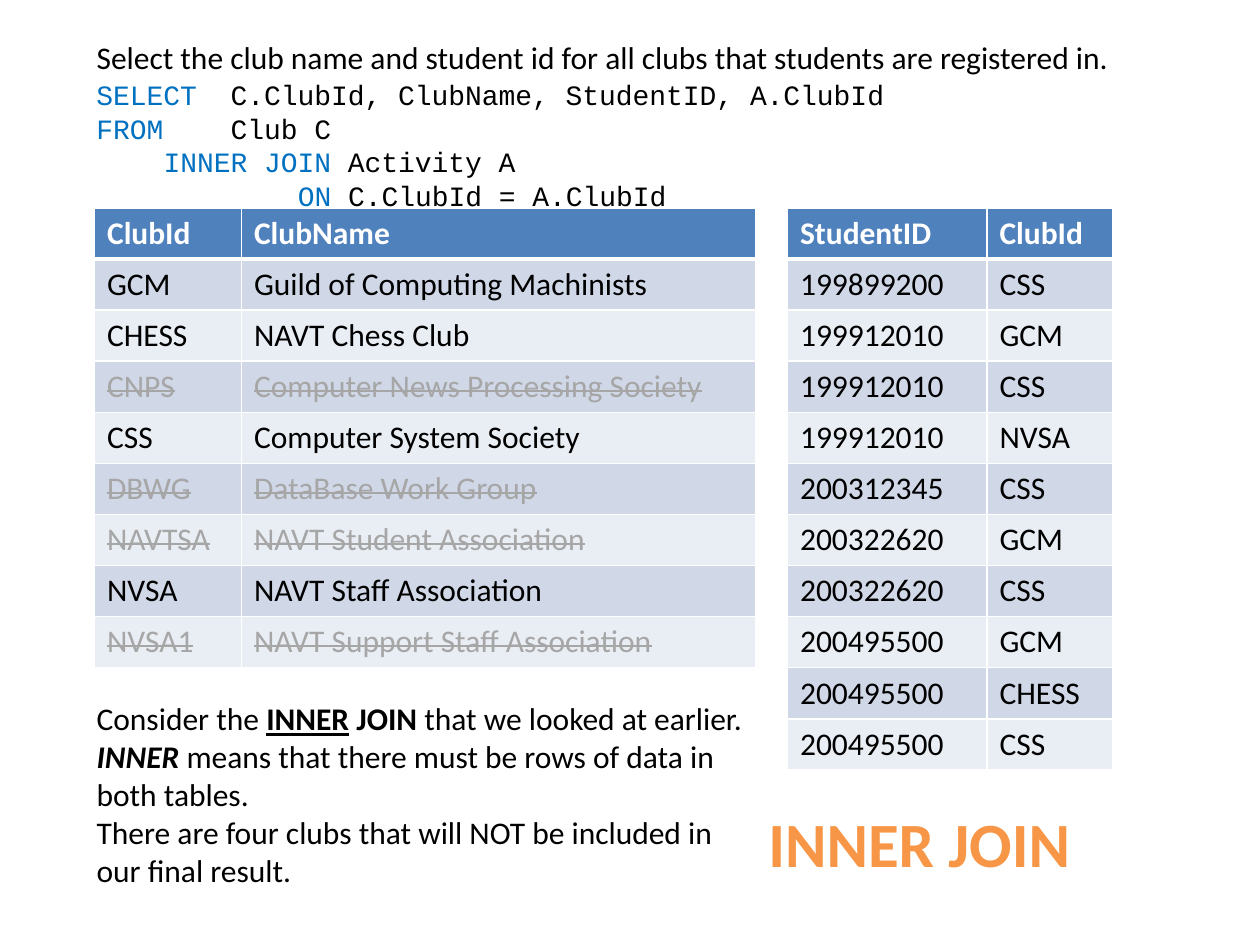
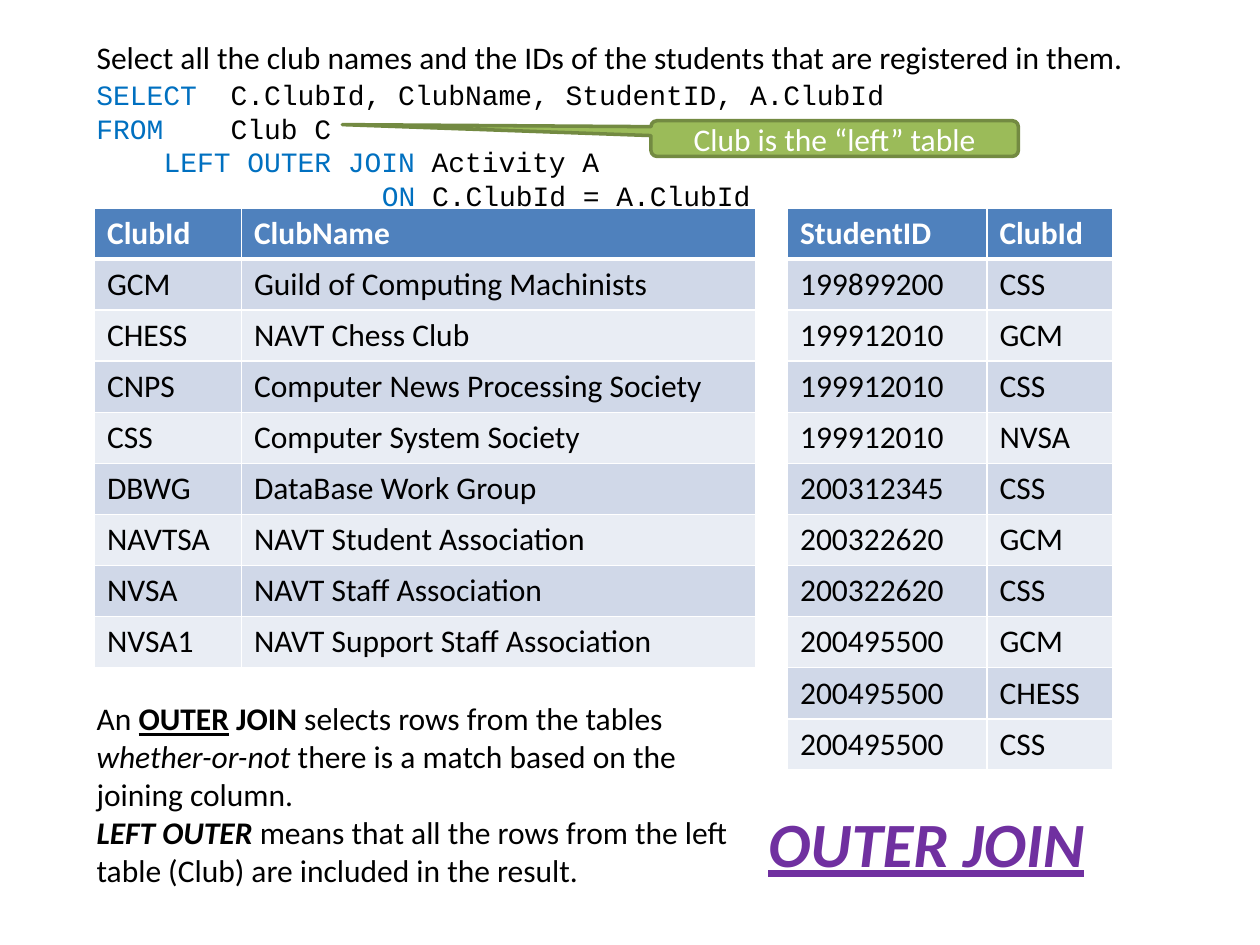
import dataclasses

import lxml.etree
import pptx
import pptx.dml.color
import pptx.enum.shapes
import pptx.enum.text
import pptx.oxml.ns
import pptx.util

PX = 7620  # EMU in one px, 120 px to the inch
CODE_CHAR = 16  # px width of one character of code


# Shared colours, fonts and type sizes
@dataclasses.dataclass(frozen=True)
class Theme:
    text: str = "000000"
    white: str = "FFFFFF"
    keyword: str = "0070C0"
    header: str = "4F81BD"
    bands: tuple = ("D0D8E8", "E9EDF4")
    dropped: str = "A6A6A6"
    callout: str = "9BBB59"
    callout_line: str = "738A42"
    inner: str = "F79646"
    outer: str = "7030A0"
    font: str = "Calibri"
    code_font: str = "Courier New"
    body_size: int = 18
    code_size: int = 16
    label_size: int = 36


T = Theme()

CLUBS = [
    ("ClubId", "ClubName"),
    ("GCM", "Guild of Computing Machinists"),
    ("CHESS", "NAVT Chess Club"),
    ("CNPS", "Computer News Processing Society"),
    ("CSS", "Computer System Society"),
    ("DBWG", "DataBase Work Group"),
    ("NAVTSA", "NAVT Student Association"),
    ("NVSA", "NAVT Staff Association"),
    ("NVSA1", "NAVT Support Staff Association"),
]
ACTIVITIES = [
    ("StudentID", "ClubId"),
    ("199899200", "CSS"),
    ("199912010", "GCM"),
    ("199912010", "CSS"),
    ("199912010", "NVSA"),
    ("200312345", "CSS"),
    ("200322620", "GCM"),
    ("200322620", "CSS"),
    ("200495500", "GCM"),
    ("200495500", "CHESS"),
    ("200495500", "CSS"),
]


def px(*lengths):
    return [pptx.util.Emu(length * PX) for length in lengths]


def rgb(color):
    return pptx.dml.color.RGBColor.from_string(color)


def sub(parent, tag, **attrs):
    return lxml.etree.SubElement(parent, pptx.oxml.ns.qn(tag), **attrs)


def style(p, size=T.body_size, color=T.text, name=T.font):
    p.font.name = name
    p.font.size = pptx.util.Pt(size)
    p.font.color.rgb = rgb(color)


def add_run(p, text, marks=""):
    """Add a run; marks holds b, i or u for bold, italic or underline."""
    r = p.add_run()
    r.text = text
    if "b" in marks:
        r.font.bold = True
    if "i" in marks:
        r.font.italic = True
    if "u" in marks:
        r.font.underline = True
    return r


def paragraphs(tf, count):
    return [tf.paragraphs[0]] + [tf.add_paragraph() for _ in range(count - 1)]


def place(sp, box):
    sp.left, sp.top, sp.width, sp.height = px(*box)
    tf = sp.text_frame
    tf.word_wrap = True
    tf.auto_size = pptx.enum.text.MSO_AUTO_SIZE.NONE
    tf.vertical_anchor = pptx.enum.text.MSO_ANCHOR.TOP
    return tf


# Placeholders: the question and the explanation
def set_question(s, text):
    p = place(s.shapes.title, (80, 30, 1030, 48)).paragraphs[0]
    p.alignment = pptx.enum.text.PP_ALIGN.LEFT
    add_run(p, text)
    style(p)


def set_explanation(s, lines):
    tf = place(s.placeholders[1], (80, 660, 640, 194))
    for p, runs in zip(paragraphs(tf, len(lines)), lines):
        pPr = p._p.get_or_add_pPr()
        pPr.set("marL", "0")
        pPr.set("indent", "0")
        sub(pPr, "a:buNone")
        p.space_before = pptx.util.Pt(0)
        for text, marks in runs:
            add_run(p, text, marks)
        style(p)


# Query text
def add_query(s, join):
    """Write the query, with ON aligned to the end of the join keyword."""
    lines = [
        (0, "SELECT", "\tC.ClubId, ClubName, StudentID, A.ClubId"),
        (0, "FROM", "\tClub C"),
        (4, join, " Activity A"),
        (4 + len(join) - len("ON"), "ON", " C.ClubId = A.ClubId"),
    ]
    tf = place(s.shapes.add_textbox(0, 0, 0, 0), (80, 68, 1010, 142))
    for p, (indent, keyword, rest) in zip(paragraphs(tf, len(lines)), lines):
        pPr = p._p.get_or_add_pPr()
        pPr.set("marL", str(indent * CODE_CHAR * PX))
        if rest.startswith("\t"):
            tabs = sub(pPr, "a:tabLst")
            sub(tabs, "a:tab", pos=str(8 * CODE_CHAR * PX), algn="l")
        add_run(p, keyword).font.color.rgb = rgb(T.keyword)
        add_run(p, rest)
        style(p, T.code_size, name=T.code_font)


# Tables
def set_borders(cell, top, bottom):
    tcPr = cell._tc.get_or_add_tcPr()
    for side, width in (("L", 1), ("R", 1), ("T", top), ("B", bottom)):
        ln = sub(tcPr, f"a:ln{side}", w=str(pptx.util.Pt(width)))
        sub(sub(ln, "a:solidFill"), "a:srgbClr", val=T.white)


def add_data_table(s, left, height, widths, rows, dropped=()):
    frame = s.shapes.add_table(len(rows), len(widths),
                               *px(left, 198, sum(widths), height))
    table = frame.table
    for column, width in zip(table.columns, px(*widths)):
        column.width = width
    for i, row in enumerate(rows):
        fill = T.bands[(i - 1) % 2] if i else T.header
        color = T.text if i else T.white
        if row[0] in dropped:
            color = T.dropped
        for j, text in enumerate(row):
            cell = table.cell(i, j)
            set_borders(cell, 3 if i == 1 else 1, 3 if i == 0 else 1)
            cell.fill.solid()
            cell.fill.fore_color.rgb = rgb(fill)
            p = cell.text_frame.paragraphs[0]
            r = add_run(p, text)
            style(p, color=color)
            p.font.bold = i == 0
            if row[0] in dropped:
                r._r.get_or_add_rPr().set("strike", "sngStrike")


# Join label and callout
def add_join_label(s, text, color, marks):
    tf = place(s.shapes.add_textbox(0, 0, 0, 0), (720, 760, 340, 85))
    p = tf.paragraphs[0]
    add_run(p, text, marks)
    style(p, T.label_size, color)


def add_callout(s, text):
    shape = pptx.enum.shapes.MSO_SHAPE.ROUNDED_RECTANGULAR_CALLOUT
    sp = s.shapes.add_shape(shape, 0, 0, 0, 0)
    tf = place(sp, (620, 115, 350, 34))
    tf.vertical_anchor = pptx.enum.text.MSO_ANCHOR.MIDDLE
    for i, value in enumerate((-1.34, -0.39, 0.17)):
        sp.adjustments[i] = value
    sp.shadow.inherit = False
    sp.fill.solid()
    sp.fill.fore_color.rgb = rgb(T.callout)
    sp.line.color.rgb = rgb(T.callout_line)
    sp.line.width = pptx.util.Pt(2)
    p = tf.paragraphs[0]
    p.alignment = pptx.enum.text.PP_ALIGN.CENTER
    add_run(p, text)
    style(p, color=T.white)


def add_join_slide(prs, question, join, explanation, dropped=()):
    s = prs.slides.add_slide(prs.slide_layouts[1])
    set_question(s, question)
    set_explanation(s, explanation)
    add_query(s, join)
    add_data_table(s, 90, 438, (140, 490), CLUBS, dropped)
    add_data_table(s, 750, 535, (190, 120), ACTIVITIES)
    return s


def main():
    prs = pptx.Presentation()
    prs.slide_width, prs.slide_height = px(1200, 900)

    # Inner join
    s = add_join_slide(
        prs,
        "Select the club name and student id for all clubs that students "
        "are registered in.",
        "INNER JOIN",
        [
            [("Consider the ", ""), ("INNER", "bu"), (" JOIN ", "b"),
             ("that we looked at earlier.", "")],
            [("INNER", "bi"),
             (" means that there must be rows of data in both tables.", "")],
            [("There are four clubs that will NOT be included in our "
              "final result.", "")],
        ],
        dropped=("CNPS", "DBWG", "NAVTSA", "NVSA1"),
    )
    add_join_label(s, "INNER JOIN", T.inner, "b")

    # Outer join
    s = add_join_slide(
        prs,
        "Select all the club names and the IDs of the students that are "
        "registered in them.",
        "LEFT OUTER JOIN",
        [
            [("An ", ""), ("OUTER", "bu"), (" JOIN ", "b"),
             ("selects rows from the tables ", ""), ("whether-or-not", "i"),
             (" there is a match based on the joining column.", "")],
            [("LEFT OUTER", "bi"),
             (" means that all the rows from the left table (Club) are "
              "included in the result.", "")],
        ],
    )
    add_callout(s, "Club is the “left” table")
    add_join_label(s, "OUTER JOIN", T.outer, "biu")

    prs.save("out.pptx")


if __name__ == "__main__":
    main()
